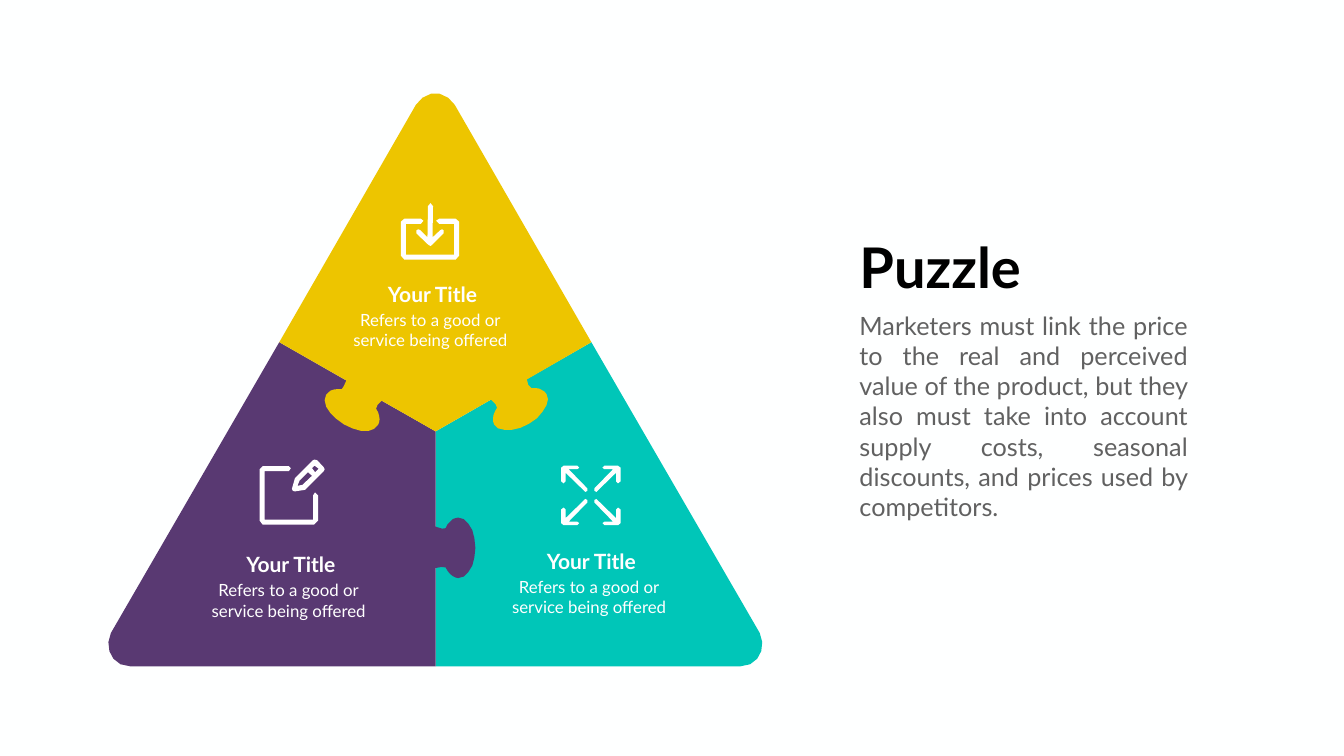
"""Build a slide with a three-piece triangle puzzle beside a heading and a paragraph."""
from pptx import Presentation
from pptx.dml.color import RGBColor
from pptx.enum.text import PP_ALIGN
from pptx.util import Pt

PX = 9144
CURVE_STEPS = 5


class Theme:
    font = "Lato"
    background = RGBColor.from_string("FEFFFF")
    white = RGBColor.from_string("FFFFFF")
    black = RGBColor.from_string("000000")
    grey = RGBColor.from_string("616161")
    yellow = RGBColor.from_string("EDC500")
    teal = RGBColor.from_string("00C6B8")
    purple = RGBColor.from_string("593972")
    heading, body, title, caption = Pt(80), Pt(36), Pt(30), Pt(24)


def trace(*steps):
    """Return the points of a path of lines (x, y) and Bezier curves (six numbers)."""
    points = [steps[0]]
    for step in steps[1:]:
        if len(step) == 2:
            points.append(step)
            continue
        x0, y0 = points[-1]
        x1, y1, x2, y2, x3, y3 = step
        for i in range(1, CURVE_STEPS + 1):
            t = i / CURVE_STEPS
            a, b, c, d = (1 - t) ** 3, 3 * t * (1 - t) ** 2, 3 * t * t * (1 - t), t ** 3
            points.append((a * x0 + b * x1 + c * x2 + d * x3,
                           a * y0 + b * y1 + c * y2 + d * y3))
    return points


def add_text(left, top, width, height, lines, size, color, align, bold=False):
    """Add a wrapped text box with one paragraph per line."""
    tf = s.shapes.add_textbox(left * PX, top * PX, width * PX, height * PX).text_frame
    tf.word_wrap = True
    tf.text = "\n".join(lines)
    for p in tf.paragraphs:
        p.alignment = align
        p.font.name, p.font.size, p.font.bold = Theme.font, size, bold
        p.font.color.rgb = color


prs = Presentation()
prs.slide_width, prs.slide_height = 2666 * PX, 1500 * PX
s = prs.slides.add_slide(prs.slide_layouts[6])
s.background.fill.solid()
s.background.fill.fore_color.rgb = Theme.background

teal_piece = trace(
    (1173, 679), (864, 856), (864, 1322), (1469, 1322),
    (1503, 1322, 1523, 1286, 1507, 1256))
purple_piece = trace(
    (554, 679), (864, 856), (864, 1045), (877, 1049), (884, 1048),
    (891, 1034, 900, 1027, 909, 1027), (928, 1027, 943, 1054, 943, 1087),
    (943, 1120, 928, 1147, 909, 1147), (900, 1147, 891, 1138, 884, 1126),
    (876, 1125), (864, 1127), (864, 1322), (258, 1322),
    (224, 1322, 204, 1286, 220, 1256))
yellow_piece = trace(
    (825, 208), (554, 679), (687, 755), (682, 766), (678, 772),
    (664, 771, 652, 775, 647, 783), (638, 800, 654, 826, 682, 842),
    (711, 859, 741, 860, 750, 843), (755, 835, 753, 823, 746, 811),
    (749, 803), (757, 795), (864, 856), (974, 793), (983, 802), (986, 809),
    (978, 821, 975, 833, 980, 842), (990, 858, 1021, 858, 1049, 841),
    (1078, 824, 1093, 797, 1084, 782), (1079, 773, 1068, 769, 1054, 770),
    (1048, 764), (1045, 753), (1173, 679), (902, 208),
    (884, 178, 843, 178, 825, 208))

tray = [
    (904, 434), (871, 434), (865, 438), (871, 444), (901, 444), (901, 505),
    (805, 505), (805, 444), (835, 444), (840, 438), (835, 434), (802, 434),
    (795, 440), (795, 507), (802, 515), (904, 515), (911, 507), (911, 440)]
down_arrow = [
    (834, 457), (830, 455), (826, 457), (826, 463), (850, 486), (854, 488),
    (857, 486), (880, 463), (880, 457), (877, 455), (873, 457), (858, 471),
    (859, 409), (854, 403), (849, 409), (848, 471)]
page = [
    (625, 977), (621, 983), (621, 1031), (525, 1031), (525, 935), (573, 935),
    (577, 929), (573, 925), (521, 925), (515, 931), (515, 1033), (521, 1041),
    (623, 1041), (631, 1033), (631, 983)]
pencil = [
    (642, 927), (629, 913), (624, 912), (621, 913), (585, 949), (579, 970),
    (581, 974), (585, 975), (605, 972), (607, 970), (642, 935), (644, 931)]
pencil_body = [(600, 962), (590, 964), (594, 954), (611, 937), (619, 944)]
pencil_end = [(625, 937), (619, 929), (624, 924), (632, 930)]
corner_arrow = [
    (1128, 931), (1145, 931), (1149, 928), (1145, 924), (1118, 924),
    (1113, 928), (1113, 955), (1118, 959), (1122, 955), (1122, 938),
    (1159, 974), (1161, 976), (1165, 974), (1165, 969)]

outlines = [
    (Theme.teal, [teal_piece]),
    (Theme.purple, [purple_piece]),
    (Theme.yellow, [yellow_piece]),
    (Theme.white, [tray]),
    (Theme.white, [down_arrow]),
    (Theme.white, [page]),
    (Theme.white, [pencil, pencil_body, pencil_end]),
]
for flip_x, flip_y in ((True, False), (False, False), (False, True), (True, True)):
    arrow = [(2344 - x if flip_x else x, 1966 - y if flip_y else y) for x, y in corner_arrow]
    outlines.append((Theme.white, [arrow]))

for color, contours in outlines:
    builder = s.shapes.build_freeform(*contours[0][0], scale=PX)
    for contour in contours:
        builder.move_to(*contour[0])
        builder.add_line_segments(contour[1:], close=True)
    sp = builder.convert_to_shape()
    sp.shadow.inherit = False
    sp.fill.solid()
    sp.fill.fore_color.rgb = color
    sp.line.fill.background()

add_text(1695, 610, 671, 385,
         ["Marketers must link the price to the real and perceived value of the product, "
          "but they also must take into account supply costs, seasonal discounts, "
          "and prices used by competitors."],
         Theme.body, Theme.grey, PP_ALIGN.JUSTIFY)
add_text(1695, 457, 389, 145, ["Puzzle"], Theme.heading, Theme.black, PP_ALIGN.LEFT, True)

for left, top in ((746, 553), (1061, 1083), (465, 1089)):
    add_text(left, top, 224, 71, ["Your Title"],
             Theme.title, Theme.white, PP_ALIGN.CENTER, True)
    add_text(left - 63, top + 57, 341, 104, ["Refers to a good or", "service being offered"],
             Theme.caption, Theme.white, PP_ALIGN.CENTER)

prs.save("out.pptx")
